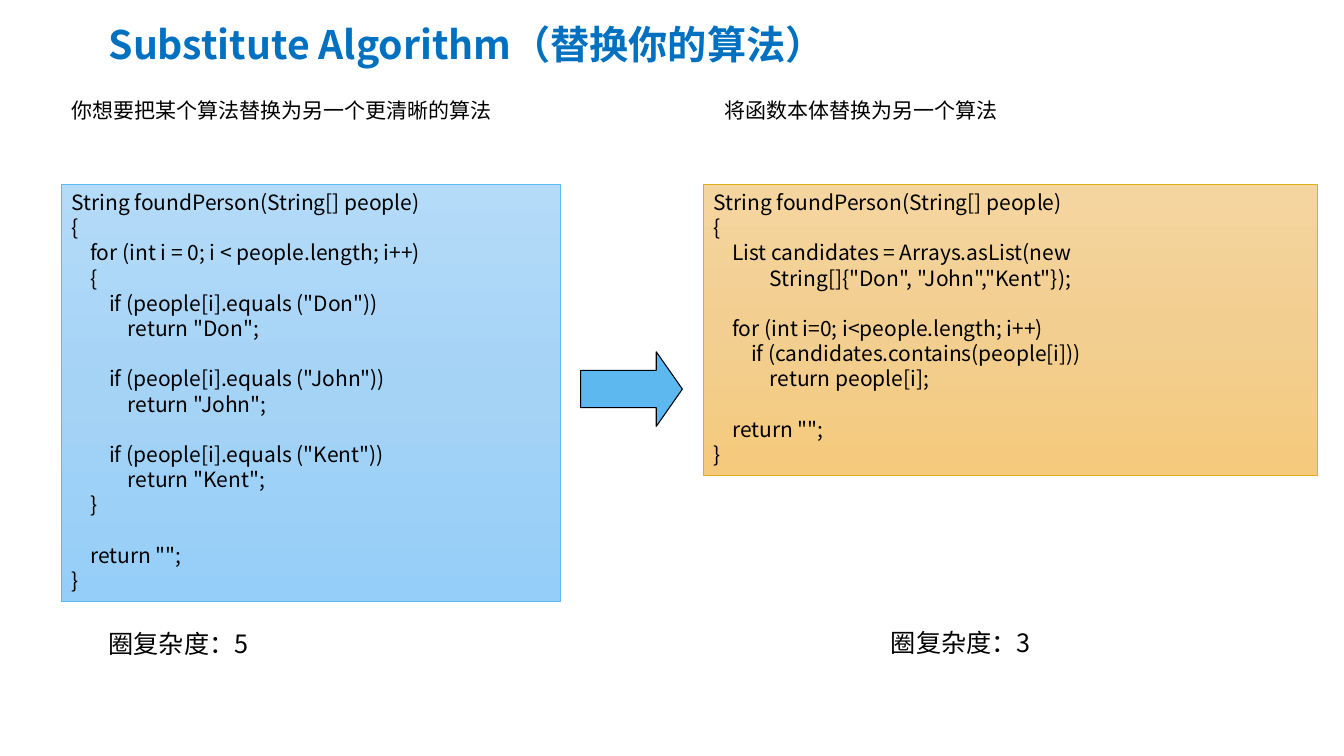
from copy import deepcopy

from lxml import etree
from pptx import Presentation
from pptx.dml.color import RGBColor
from pptx.enum.shapes import MSO_SHAPE
from pptx.enum.text import MSO_ANCHOR, MSO_AUTO_SIZE, PP_ALIGN
from pptx.oxml.ns import qn
from pptx.util import Pt

RECTANGLE = MSO_SHAPE.RECTANGLE
RIGHT_ARROW = MSO_SHAPE.RIGHT_ARROW
TOP, MIDDLE = MSO_ANCHOR.TOP, MSO_ANCHOR.MIDDLE
FIT_SHAPE = MSO_AUTO_SIZE.SHAPE_TO_FIT_TEXT
LEFT = PP_ALIGN.LEFT
CJK_FONT = "Noto Sans CJK SC"

CODE_BEFORE = """String foundPerson(String[] people)
{
    for (int i = 0; i < people.length; i++)
    {
        if (people[i].equals ("Don"))
            return "Don";

        if (people[i].equals ("John"))
            return "John";

        if (people[i].equals ("Kent"))
            return "Kent";
    }

    return "";
}"""

CODE_AFTER = """String foundPerson(String[] people)
{
    List candidates = Arrays.asList(new
            String[]{"Don", "John","Kent"});

    for (int i=0; i<people.length; i++)
        if (candidates.contains(people[i]))
            return people[i];

    return "";
}"""


def color(value):
    return RGBColor.from_string(value)


class SlideBuilder:
    """Draws styled text, code panels and arrows on one slide."""

    def __init__(self, slide):
        self.slide = slide
        self.text_color = "000000"
        self.code_size = 15

    def fill_frame(self, frame, text, size, font=CJK_FONT, fill=None, bold=False, anchor=TOP, wrap=True):
        frame.word_wrap = wrap
        frame.auto_size = FIT_SHAPE
        frame.vertical_anchor = anchor
        for index, line in enumerate(text.split("\n")):
            paragraph = frame.add_paragraph() if index else frame.paragraphs[0]
            paragraph.alignment = LEFT
            if not line:
                etree.SubElement(paragraph._p, qn("a:endParaRPr"), sz=str(size * 100))
                continue
            run = paragraph.add_run()
            run.text = line
            run.font.size = Pt(size)
            run.font.bold = bold
            run.font.name = font
            run.font.color.rgb = color(fill or self.text_color)
            etree.SubElement(run.font._element, qn("a:ea"), typeface=CJK_FONT)

    def text(self, left, top, width, height, text, size, **style):
        box = self.slide.shapes.add_textbox(Pt(left), Pt(top), Pt(width), Pt(height))
        self.fill_frame(box.text_frame, text, size, **style)

    def shape(self, kind, left, top, width, height, line, weight):
        shape = self.slide.shapes.add_shape(kind, Pt(left), Pt(top), Pt(width), Pt(height))
        shape.shadow.inherit = False
        shape.line.color.rgb = color(line)
        shape.line.width = Pt(weight)
        return shape

    def code_panel(self, left, top, width, height, code, gradient, line):
        panel = self.shape(RECTANGLE, left, top, width, height, line, 0.5)
        panel.fill.gradient()
        panel.fill.gradient_angle = 270
        stop_list = panel._element.spPr.find(".//" + qn("a:gsLst"))
        stop_list.insert(1, deepcopy(stop_list[0]))
        for index, stop in enumerate(panel.fill.gradient_stops):
            stop.position = index / 2
            stop.color.rgb = color(gradient[index])
        self.fill_frame(panel.text_frame, code, self.code_size)

    def arrow(self, left, top, width, height, fill):
        arrow = self.shape(RIGHT_ARROW, left, top, width, height, self.text_color, 0.75)
        arrow.adjustments[0] = 0.5
        arrow.adjustments[1] = 0.35
        arrow.fill.solid()
        arrow.fill.fore_color.rgb = color(fill)


def main():
    presentation = Presentation()
    presentation.slide_width = Pt(960)
    presentation.slide_height = Pt(540)
    builder = SlideBuilder(presentation.slides.add_slide(presentation.slide_layouts[6]))

    builder.text(70.5, 11, 729, 41, "Substitute Algorithm（替换你的算法）", 28,
                 fill="0070C0", bold=True, anchor=MIDDLE)
    builder.arrow(414.7, 251.3, 72.7, 53.3, "5DB8EF")
    builder.code_panel(44, 131.8, 356.4, 298, CODE_BEFORE,
                       ("B4DBF8", "A5D3F6", "95CEF8"), "5DB8EF")
    builder.code_panel(502.6, 131.8, 438.5, 207.4, CODE_AFTER,
                       ("F5D59F", "F2CE91", "F5CA7C"), "E1AF15")
    for left, width, summary in (
        (44, 314.6, "你想要把某个算法替换为另一个更清晰的算法"),
        (510.5, 209.5, "将函数本体替换为另一个算法"),
    ):
        builder.text(left, 66.2, width, 25.2, summary, 15, font="Arial", wrap=False)
    for left, top, complexity in ((70.5, 445, 5), (629.3, 444.5, 3)):
        builder.text(left, top, 199.4, 29, f"圈复杂度：{complexity}", 18)

    presentation.save("out.pptx")


if __name__ == "__main__":
    main()
